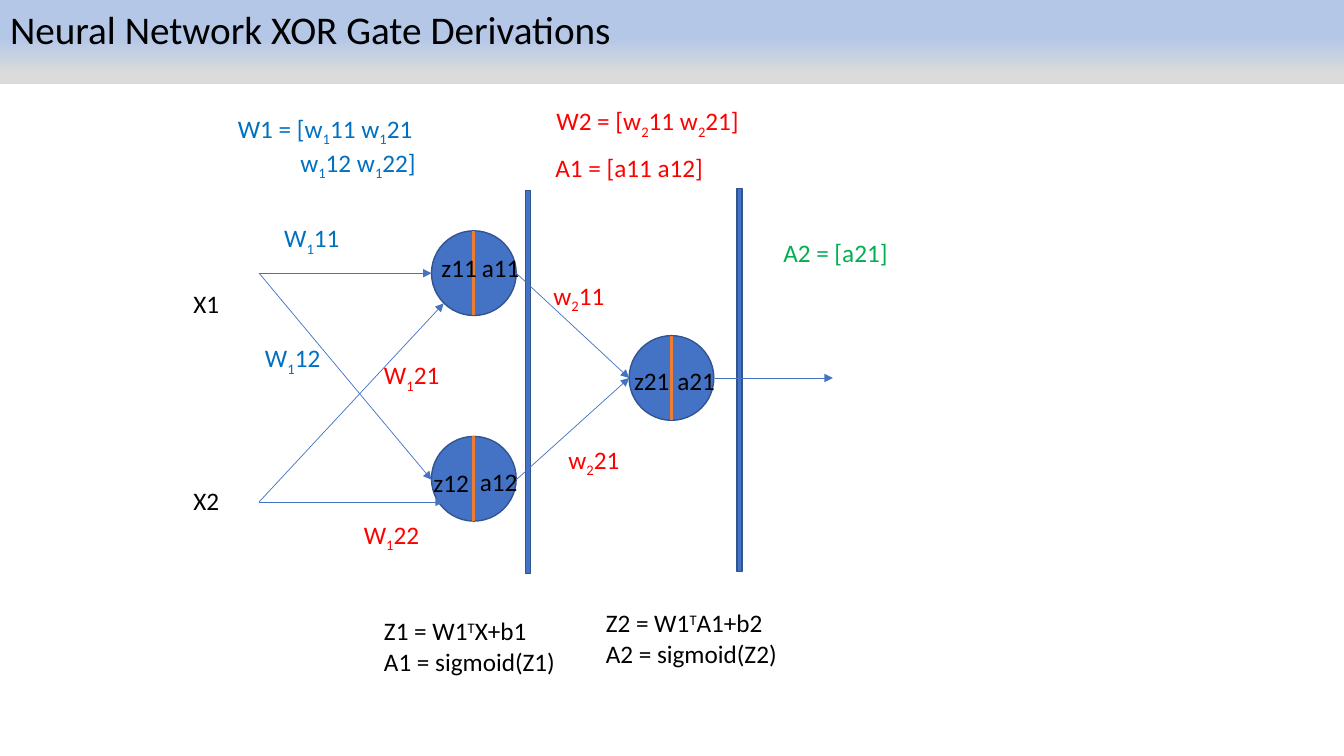
from typing import NamedTuple

from lxml.etree import SubElement
from pptx import Presentation
from pptx.dml.color import RGBColor
from pptx.enum.shapes import MSO_CONNECTOR as Connector, MSO_SHAPE as Preset
from pptx.enum.text import MSO_ANCHOR as Anchor, MSO_AUTO_SIZE as AutoSize, PP_ALIGN as Align
from pptx.oxml.ns import qn
from pptx.util import Inches, Pt

COLORS = {
    "black": "000000", "blue": "0070C0", "red": "FF0000", "green": "00B050",
    "node": "4472C4", "outline": "325491", "split": "ED7D31",
    "header_top": "B4C7E7", "header_bottom": "DBDBDB",
}
FONT = "Calibri"
DIAMETER = 0.84
BASELINES = {"_": "-25000", "^": "30000"}


class Neuron(NamedTuple):
    left: float
    top: float


class Arrow(NamedTuple):
    start: tuple[float, float]
    end: tuple[float, float]


class Label(NamedTuple):
    left: float
    top: float
    width: float
    lines: tuple[str, ...]
    color: str = "black"
    wrap: bool = False
    second_indent: float = 0


NEURONS = [Neuron(4.28, 2.29), Neuron(4.28, 4.33), Neuron(6.24, 3.33)]
DIVIDERS = [(5.21, 1.89), (7.31, 1.87)]
X1, X2, HIDDEN_1, HIDDEN_2, OUTPUT = (2.57, 2.71), (2.57, 4.98), (5.12, 2.71), (5.12, 4.76), (6.24, 3.75)
ARROWS = [
    Arrow(X1, (4.28, 2.71)),
    Arrow(X1, (4.28, 4.76)),
    Arrow(X2, (4.4, 3.01)),
    Arrow(X2, (4.4, 4.98)),
    Arrow(HIDDEN_1, OUTPUT),
    Arrow(HIDDEN_2, OUTPUT),
    Arrow((7.09, 3.75), (8.26, 3.75)),
]
# In label lines, | separates spans; a leading _ lowers a span and ^ raises it.
LABELS = [
    Label(1.82, 2.81, 0.46, ("X1",)),
    Label(1.82, 4.77, 0.46, ("X2",)),
    Label(2.72, 2.16, 0.77, ("W|_1|11",), "blue"),
    Label(2.53, 3.35, 0.77, ("W|_1|12",), "blue"),
    Label(3.71, 3.52, 0.77, ("W|_1|21",), "red"),
    Label(3.51, 5.1, 0.77, ("W|_1|22",), "red"),
    Label(2.26, 1.07, 2.08, ("W1 = [w|_1|11 w|_1|21", "w|_1|12 w|_1|22]"), "blue", second_indent=0.62),
    Label(5.42, 1, 2.15, ("W2 = [w|_2|11 w|_2|21]",), "red"),
    Label(5.41, 1.46, 1.74, ("A1 = [a11 a12]",), "red"),
    Label(7.67, 2.31, 1.25, ("A2 = [a21]",), "green"),
    Label(4.28, 2.45, 0.6, ("z11",), wrap=True),
    Label(4.68, 2.45, 0.58, ("a11",)),
    Label(4.2, 4.59, 0.56, ("z12",)),
    Label(4.66, 4.58, 0.58, ("a12",)),
    Label(6.19, 3.58, 0.56, ("z21",)),
    Label(6.62, 3.58, 0.58, ("a21",)),
    Label(5.39, 2.73, 0.76, ("w|_2|11",), "red", wrap=True),
    Label(5.54, 4.36, 0.76, ("w|_2|21",), "red", wrap=True),
    Label(3.71, 6.06, 1.92, ("Z1 = W1|^T|X+b1", "A1 = sigmoid(Z1)")),
    Label(5.91, 5.98, 1.92, ("Z2 = W1|^T|A1+b2", "A2 = sigmoid(Z2)")),
]


def rgb(name: str) -> RGBColor:
    return RGBColor.from_string(COLORS[name])


def set_font(para, size: float, color: str) -> None:
    para.font.name = FONT
    para.font.size = Pt(size)
    para.font.color.rgb = rgb(color)


def add_title(slide, text: str) -> None:
    title = slide.shapes.title
    title.left, title.top, title.width, title.height = map(Inches, (0, 0, 13.33, 0.57))
    title.fill.gradient()
    title.fill.gradient_angle = 270
    stops = ((0.45, "header_top"), (0.88, "header_bottom"))
    for stop, (position, color) in zip(title.fill.gradient_stops, stops):
        stop.position = position
        stop.color.rgb = rgb(color)
    frame = title.text_frame
    frame.text = text
    frame.word_wrap = True
    frame.auto_size = AutoSize.SHAPE_TO_FIT_TEXT
    frame.vertical_anchor = Anchor.TOP
    para = frame.paragraphs[0]
    para.alignment = Align.LEFT
    set_font(para, 28, "black")


def add_solid(slide, preset: Preset, left: float, top: float, width: float, height: float) -> None:
    shape = slide.shapes.add_shape(preset, Inches(left), Inches(top), Inches(width), Inches(height))
    shape.shadow.inherit = False
    shape.fill.solid()
    shape.fill.fore_color.rgb = rgb("node")
    shape.line.color.rgb = rgb("outline")
    shape.line.width = Pt(1)


def add_line(slide, start: tuple, end: tuple, color: str, width: float, arrow: bool = False) -> None:
    line = slide.shapes.add_connector(Connector.STRAIGHT, *map(Inches, (*start, *end)))
    line.line.color.rgb = rgb(color)
    line.line.width = Pt(width)
    properties = line._element.spPr
    if arrow:
        SubElement(properties.find(qn("a:ln")), qn("a:tailEnd"), type="triangle")
    SubElement(properties, qn("a:effectLst"))


def add_neuron(slide, neuron: Neuron) -> None:
    """Draw a circle halved by a vertical line."""
    add_solid(slide, Preset.OVAL, *neuron, DIAMETER, DIAMETER)
    middle = neuron.left + DIAMETER / 2
    add_line(slide, (middle, neuron.top), (middle, neuron.top + DIAMETER), "split", 2.25)


def add_label(slide, label: Label) -> None:
    height = 0.4 if len(label.lines) == 1 else 0.71
    box = slide.shapes.add_textbox(*map(Inches, (label.left, label.top, label.width, height)))
    frame = box.text_frame
    frame.word_wrap = label.wrap
    frame.auto_size = AutoSize.SHAPE_TO_FIT_TEXT
    for index, line in enumerate(label.lines):
        para = frame.add_paragraph() if index else frame.paragraphs[0]
        if index and label.second_indent:
            para._p.get_or_add_pPr().set("marL", str(Inches(label.second_indent)))
        set_font(para, 18, label.color)
        for part in line.split("|"):
            span = para.add_run()
            span.text = part.lstrip("_^")
            if part[0] in BASELINES:
                span._r.get_or_add_rPr().set("baseline", BASELINES[part[0]])


def main() -> None:
    deck = Presentation()
    deck.slide_width, deck.slide_height = Inches(13.33), Inches(7.5)
    slide = deck.slides.add_slide(deck.slide_layouts[5])
    add_title(slide, "Neural Network XOR Gate Derivations")
    for neuron in NEURONS:
        add_neuron(slide, neuron)
    for left, top in DIVIDERS:
        add_solid(slide, Preset.RECTANGLE, left, top, 0.05, 3.8)
    for arrow in ARROWS:
        add_line(slide, arrow.start, arrow.end, "node", 0.5, arrow=True)
    for label in LABELS:
        add_label(slide, label)
    deck.save("out.pptx")


if __name__ == "__main__":
    main()
